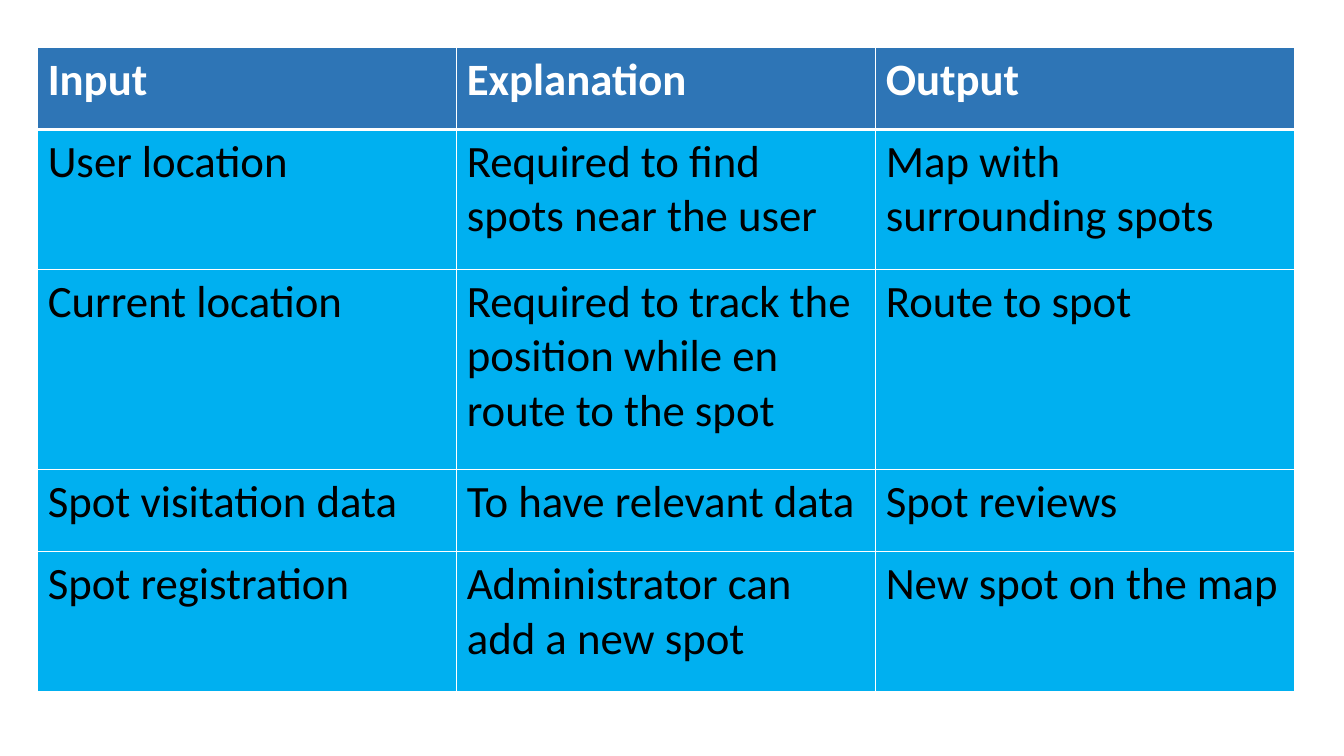
from lxml.etree import SubElement
from pptx import Presentation
from pptx.dml.color import RGBColor
from pptx.oxml.ns import qn
from pptx.util import Cm, Pt

WHITE = RGBColor(0xFF, 0xFF, 0xFF)
BLACK = RGBColor(0x00, 0x00, 0x00)
HEADER_BLUE = RGBColor(0x2E, 0x75, 0xB6)
BODY_BLUE = RGBColor(0x00, 0xB0, 0xF0)

# Table content: heading row first
REQUIREMENTS = [
    ("Input", "Explanation", "Output"),
    ("User location", "Required to find spots near the user",
     "Map with surrounding spots"),
    ("Current location",
     "Required to track the position while en route to the spot",
     "Route to spot"),
    ("Spot visitation data", "To have relevant data", "Spot reviews"),
    ("Spot registration", "Administrator can add a new spot",
     "New spot on the map"),
]
ROW_HEIGHTS = [2.06, 3.53, 5.05, 2.06, 3.53]
COLUMN_WIDTH = 10.56


class SlideBuilder:
    """Holds the text style and the slide being filled."""

    text_style = {"name": "Calibri", "size": Pt(32)}
    thin, thick = Pt(1), Pt(3)

    def __init__(self, slide):
        self.slide = slide

    def table(self, left, top, column_width, row_heights, content):
        columns = len(content[0])
        grid = self.slide.shapes.add_table(
            len(content), columns, Cm(left), Cm(top),
            Cm(column_width * columns), Cm(sum(row_heights))).table
        for column in grid.columns:
            column.width = Cm(column_width)
        for index, (height, entries) in enumerate(zip(row_heights, content)):
            grid.rows[index].height = Cm(height)
            for cell, entry in zip(grid.rows[index].cells, entries):
                self.cell(cell, entry, index)

    def cell(self, cell, entry, row):
        is_header = row == 0
        # The rule under the header is shared by the first two rows
        self.borders(cell, {
            "L": self.thin,
            "R": self.thin,
            "T": self.thick if row == 1 else self.thin,
            "B": self.thick if is_header else self.thin,
        })
        cell.fill.solid()
        cell.fill.fore_color.rgb = HEADER_BLUE if is_header else BODY_BLUE
        cell.text = entry
        font = cell.text_frame.paragraphs[0].runs[0].font
        for attribute, value in {**self.text_style, "bold": is_header}.items():
            setattr(font, attribute, value)
        font.color.rgb = WHITE if is_header else BLACK

    def borders(self, cell, widths):
        properties = cell._tc.get_or_add_tcPr()
        for side, width in widths.items():
            line = SubElement(properties, qn(f"a:ln{side}"), w=str(int(width)))
            fill = SubElement(line, qn("a:solidFill"))
            SubElement(fill, qn("a:srgbClr"), val=str(WHITE))


def main():
    deck = Presentation()
    deck.slide_width, deck.slide_height = Cm(33.87), Cm(19.05)
    blank_layout = deck.slide_layouts[6]
    builder = SlideBuilder(deck.slides.add_slide(blank_layout))

    # Inputs and outputs of the system
    builder.table(0.95, 1.2, COLUMN_WIDTH, ROW_HEIGHTS, REQUIREMENTS)
    deck.save("out.pptx")


if __name__ == "__main__":
    main()
